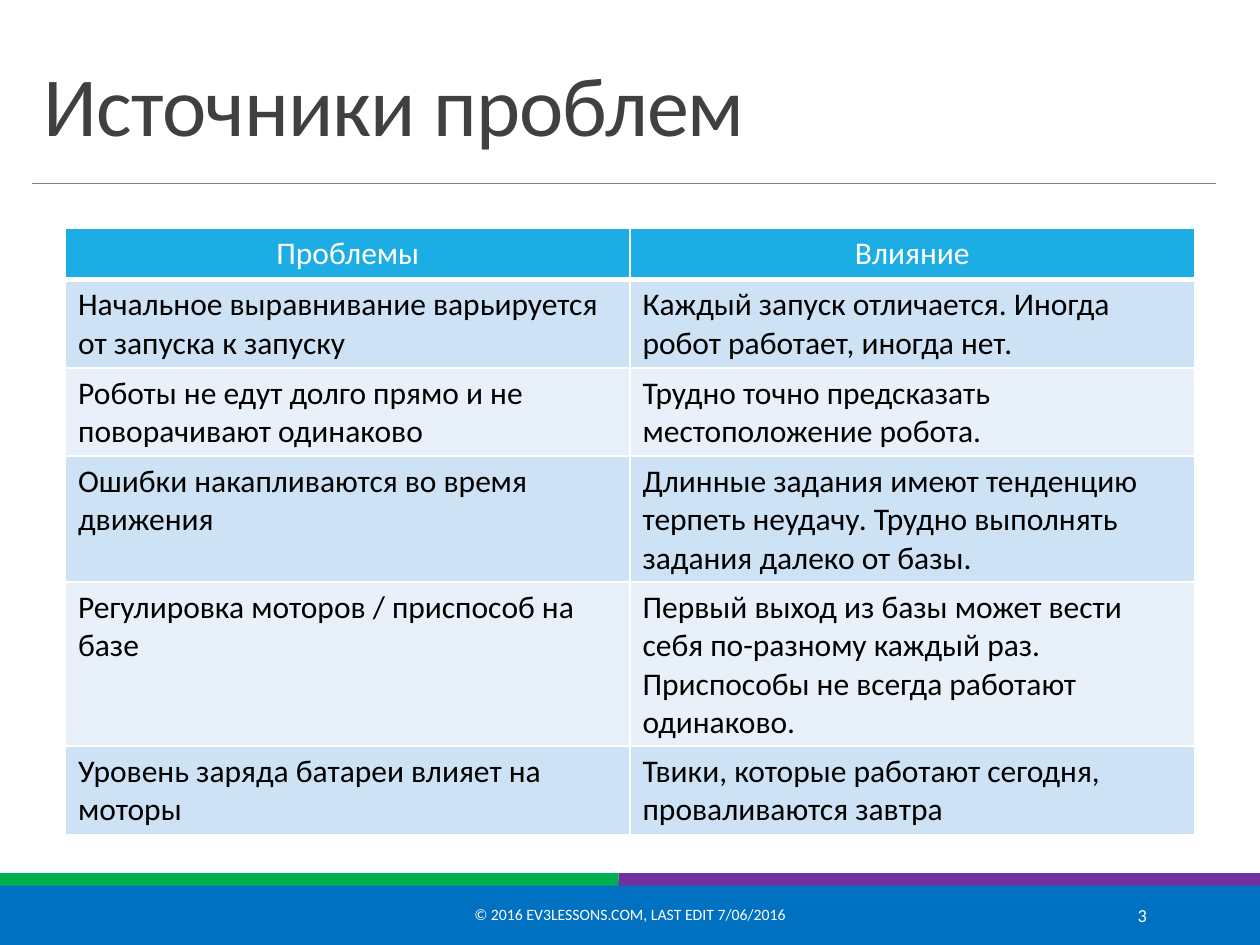
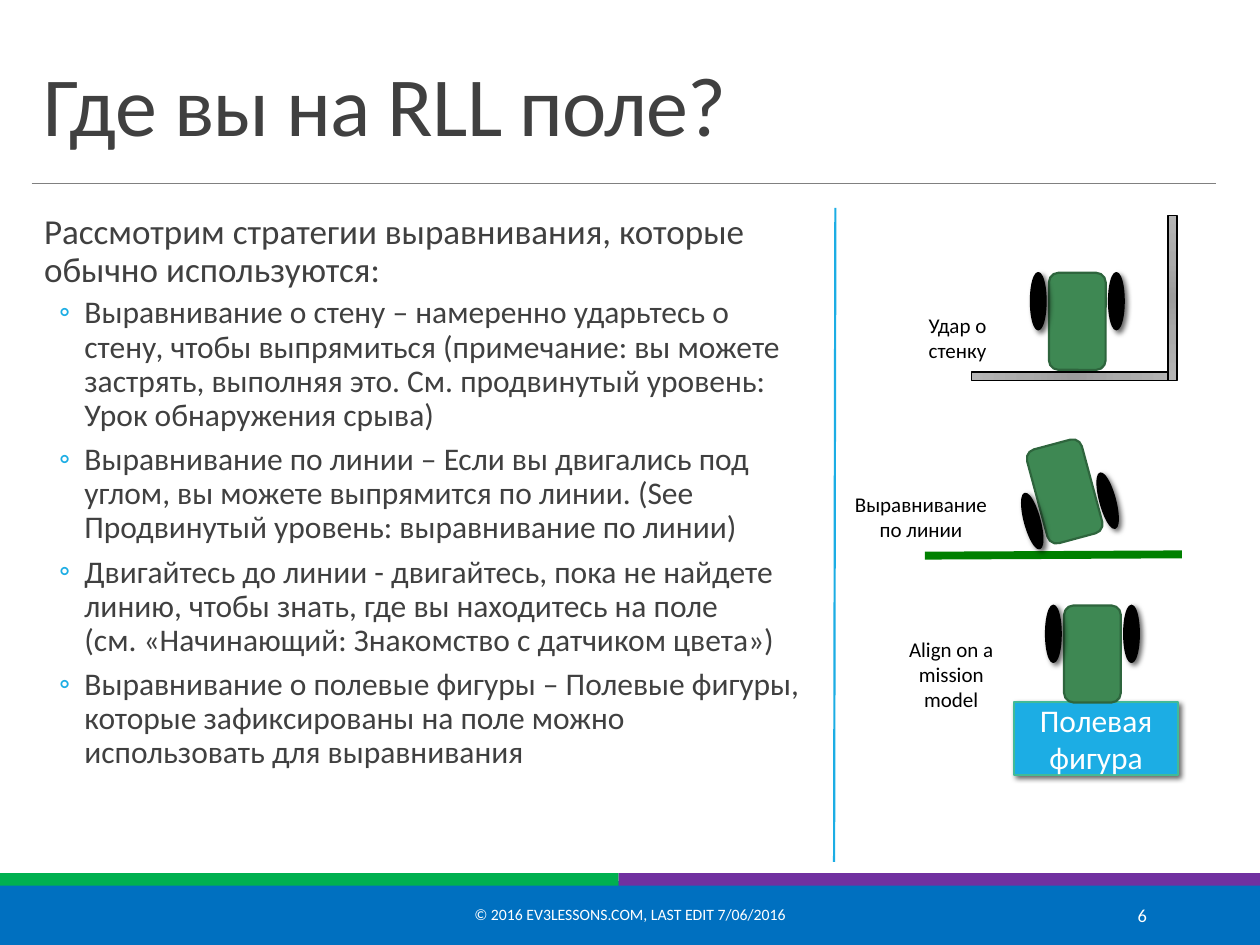
from lxml import etree
from pptx import Presentation
from pptx.dml.color import RGBColor
from pptx.enum.shapes import MSO_CONNECTOR, MSO_SHAPE
from pptx.enum.text import MSO_ANCHOR, PP_ALIGN
from pptx.oxml import parse_xml
from pptx.oxml.ns import nsdecls, qn
from pptx.util import Inches, Pt

RECT, ROUND_RECT, OVAL = MSO_SHAPE.RECTANGLE, MSO_SHAPE.ROUNDED_RECTANGLE, MSO_SHAPE.OVAL
STRAIGHT = MSO_CONNECTOR.STRAIGHT
LEFT, CENTER, RIGHT = PP_ALIGN.LEFT, PP_ALIGN.CENTER, PP_ALIGN.RIGHT
TOP, MIDDLE, BOTTOM = MSO_ANCHOR.TOP, MSO_ANCHOR.MIDDLE, MSO_ANCHOR.BOTTOM

FONT = "Calibri"
COLORS = {
    "white": "FFFFFF", "black": "000000", "text": "404040", "rule": "808080",
    "footer": "0070C0", "green_band": "00B050", "purple_band": "7030A0",
    "accent": "1CADE4", "row_dark": "CDE3F5", "row_light": "E8F1FA",
    "robot": "3E8853", "robot_edge": "2E653D", "model_edge": "42BA97",
    "field_line": "008000",
}
WALL_STOPS = [(0, "9C9C9C"), (45, "AAAAAA"), (100, "B4B4B4")]
SLIDE_W, SLIDE_H = 10, 7.5
COPYRIGHT = "© 2016 EV3LESSONS.COM, LAST EDIT 7/06/2016"

PROBLEMS = [
    ("Проблемы", "Влияние"),
    ("Начальное выравнивание варьируется от запуска к запуску",
     "Каждый запуск отличается. Иногда робот работает, иногда нет."),
    ("Роботы не едут долго прямо и не поворачивают одинаково",
     "Трудно точно предсказать местоположение робота."),
    ("Ошибки накапливаются во время движения",
     "Длинные задания имеют тенденцию терпеть неудачу. "
     "Трудно выполнять задания далеко от базы."),
    ("Регулировка моторов / приспособ на базе",
     "Первый выход из базы может вести себя по-разному каждый раз.\n"
     "Приспособы не всегда работают одинаково."),
    ("Уровень заряда батареи влияет на моторы",
     "Твики, которые работают сегодня, проваливаются завтра"),
]
STRATEGY_INTRO = "Рассмотрим стратегии выравнивания, которые обычно используются:"
STRATEGIES = [
    "Выравнивание о стену – намеренно ударьтесь о стену, чтобы выпрямиться "
    "(примечание: вы можете застрять, выполняя это. См. продвинутый уровень: "
    "Урок обнаружения срыва)",
    "Выравнивание по линии – Если вы двигались под углом, вы можете выпрямится "
    "по линии. (See Продвинутый уровень: выравнивание по линии)",
    "Двигайтесь до линии - двигайтесь, пока не найдете линию, чтобы знать, "
    "где вы находитесь на поле\v(см. «Начинающий: Знакомство с датчиком цвета»)",
    "Выравнивание о полевые фигуры – Полевые фигуры, которые зафиксированы "
    "на поле можно использовать для выравнивания",
]


def rgb(name):
    return RGBColor.from_string(COLORS[name])


def write(p, text, size=18, color="black", align=LEFT, spacing=None, tracking=None):
    """Fill one paragraph with formatted text."""
    p.text = text
    p.alignment = align
    if spacing:
        p.line_spacing = spacing
    for r in p.runs:
        r.font.name = FONT
        r.font.size = Pt(size)
        r.font.bold = False
        r.font.color.rgb = rgb(color)
        if tracking:
            r.font._element.set("spc", str(round(tracking * 100)))


def add_text(s, box, text, anchor=TOP, **fmt):
    tb = s.shapes.add_textbox(*map(Inches, box))
    tf = tb.text_frame
    tf.word_wrap = True
    tf.vertical_anchor = anchor
    if text:
        write(tf.paragraphs[0], text, **fmt)
    return tf


def add_shadow(sp):
    sp._element.spPr.append(parse_xml(
        f'<a:effectLst {nsdecls("a")}><a:outerShdw blurRad="{Pt(3)}" dist="{Pt(2)}" '
        'dir="2700000" rotWithShape="0"><a:srgbClr val="000000"><a:alpha val="60000"/>'
        '</a:srgbClr></a:outerShdw></a:effectLst>'))


def add_box(shapes, kind, box, fill, line=None, width=1, shadow=False):
    sp = shapes.add_shape(kind, *map(Inches, box))
    sp.fill.solid()
    sp.fill.fore_color.rgb = rgb(fill)
    if line:
        sp.line.color.rgb = rgb(line)
        sp.line.width = Pt(width)
    else:
        sp.line.fill.background()
    if shadow:
        add_shadow(sp)
    else:
        sp.shadow.inherit = False
    return sp


def add_line(s, x1, y1, x2, y2, color, width):
    ln = s.shapes.add_connector(STRAIGHT, *map(Inches, (x1, y1, x2, y2)))
    ln.line.color.rgb = rgb(color)
    ln.line.width = Pt(width)
    etree.SubElement(ln._element.spPr, qn("a:effectLst"))


def add_base_slide(prs, title, number):
    """Add a slide with the shared bands, title and footer."""
    s = prs.slides.add_slide(prs.slide_layouts[6])
    split, band_y = 4.91, 6.93
    add_box(s.shapes, RECT, (0, 7, SLIDE_W, 0.5), "footer", "footer", 1.25)
    add_box(s.shapes, RECT, (0, band_y, split, 0.1), "green_band")
    add_box(s.shapes, RECT, (split, band_y, SLIDE_W - split, 0.1), "purple_band")
    add_line(s, 0.25, 1.46, 9.65, 1.46, "rule", 0.5)
    add_text(s, (0.25, 0.31, 9.4, 0.96), title, anchor=BOTTOM, size=48,
             color="text", spacing=0.85, tracking=-0.5)
    add_text(s, (3.02, 7.06, 3.96, 0.4), COPYRIGHT, anchor=MIDDLE, size=9,
             color="white", align=CENTER)
    add_text(s, (8.12, 7.06, 1.08, 0.4), str(number), anchor=MIDDLE, size=10.5,
             color="white", align=RIGHT)
    return s


def set_borders(cell, bottom):
    tcPr = cell._tc.get_or_add_tcPr()
    for side, width in (("L", 1), ("R", 1), ("T", 1), ("B", bottom)):
        tcPr.append(parse_xml(
            f'<a:ln{side} {nsdecls("a")} w="{Pt(width)}"><a:solidFill>'
            f'<a:srgbClr val="{COLORS["white"]}"/></a:solidFill></a:ln{side}>'))


def add_problem_table(s, x, y, w):
    row_h = 0.41
    rows, cols = len(PROBLEMS), len(PROBLEMS[0])
    table = s.shapes.add_table(
        rows, cols, *map(Inches, (x, y, w, row_h * rows))).table
    for col in table.columns:
        col.width = Inches(w / cols)
    for i, texts in enumerate(PROBLEMS):
        table.rows[i].height = Inches(row_h)
        header = i == 0
        fill = "accent" if header else ("row_light", "row_dark")[i % 2]
        for j, text in enumerate(texts):
            cell = table.cell(i, j)
            set_borders(cell, 3 if header else 1)
            cell.fill.solid()
            cell.fill.fore_color.rgb = rgb(fill)
            tf = cell.text_frame
            for k, part in enumerate(text.split("\n")):
                p = tf.add_paragraph() if k else tf.paragraphs[0]
                write(p, part, color="white" if header else "black",
                      align=CENTER if header else LEFT)


def set_indent(p, left, hanging=0, bullet=None):
    pPr = p._p.get_or_add_pPr()
    pPr.set("marL", str(Inches(left)))
    pPr.set("indent", str(-Inches(hanging)))
    if bullet:
        color = etree.SubElement(pPr, qn("a:buClr"))
        etree.SubElement(color, qn("a:srgbClr"), val=COLORS["accent"])
        etree.SubElement(pPr, qn("a:buFont"), typeface=FONT)
        etree.SubElement(pPr, qn("a:buChar"), char=bullet)


def add_strategy_list(s, box):
    tf = add_text(s, box, None)
    tf.margin_left = tf.margin_right = 0
    intro = tf.paragraphs[0]
    set_indent(intro, 0.1)
    write(intro, STRATEGY_INTRO, size=20, color="text", spacing=0.9)
    intro.space_after = Pt(2)
    for text in STRATEGIES:
        p = tf.add_paragraph()
        set_indent(p, 0.42, 0.2, "◦")
        write(p, text, color="text", spacing=0.9)
        p.space_before, p.space_after = Pt(2), Pt(4)


def add_robot(s, cx, cy, rotation):
    """Draw a robot centred on a point; unrotated, its wheels are at the bottom."""
    body_w, body_h, wheel_w, wheel_h, wheel_dx = 0.45, 0.77, 0.12, 0.45, 0.31
    robot = s.shapes.add_group_shape()
    add_box(robot.shapes, ROUND_RECT, (cx - body_w / 2, cy - body_h / 2, body_w, body_h),
            "robot", "robot_edge", 1.25)
    for dx in (-wheel_dx, wheel_dx):
        add_box(robot.shapes, OVAL,
                (cx + dx - wheel_w / 2, cy + body_h / 2 - wheel_h, wheel_w, wheel_h),
                "black", "black", shadow=True)
    robot.rotation = rotation


def add_wall(s, box, rotation=0):
    sp = add_box(s.shapes, RECT, box, "rule", "black")
    stops = "".join(f'<a:gs pos="{pos * 1000}"><a:srgbClr val="{color}"/></a:gs>'
                    for pos, color in WALL_STOPS)
    spPr = sp._element.spPr
    spPr.replace(spPr.find(qn("a:solidFill")), parse_xml(
        f'<a:gradFill {nsdecls("a")}><a:gsLst>{stops}</a:gsLst><a:path path="circle">'
        '<a:fillToRect l="100000" t="100000" r="100000" b="100000"/></a:path></a:gradFill>'))
    sp.rotation = rotation


def add_label(s, box, text):
    add_text(s, box, text, size=12, align=CENTER)


def add_wall_scene(s, x, y):
    add_wall(s, (x + 0.61, y + 1.24, 1.62, 0.07))
    add_wall(s, (x + 1.55, y + 0.62, 1.31, 0.07), rotation=90)
    add_robot(s, x + 1.45, y + 0.84, 180)
    add_label(s, (x, y + 0.72, 1, 0.5), "Удар о стенку")


def add_line_scene(s, x, y):
    add_line(s, x + 2.75, y + 0.89, x + 0.71, y + 0.9, "field_line", 4.5)
    add_robot(s, x + 1.82, y + 0.39, 344.9)
    add_label(s, (x, y + 0.34, 1.36, 0.5), "Выравнивание по линии")


def add_model_scene(s, x, y):
    model = add_box(s.shapes, RECT, (x + 1, y + 0.77, 1.3, 0.58), "accent",
                    "model_edge", shadow=True)
    model.text_frame.word_wrap = True
    model.text_frame.vertical_anchor = MIDDLE
    write(model.text_frame.paragraphs[0], "Полевая фигура", color="white", align=CENTER)
    add_robot(s, x + 1.62, y + 0.39, 180)
    add_label(s, (x, y + 0.2, 1, 0.71), "Align on a mission model")


def main():
    prs = Presentation()
    prs.slide_width, prs.slide_height = Inches(SLIDE_W), Inches(SLIDE_H)

    s = add_base_slide(prs, "Источники проблем", 3)
    add_problem_table(s, 0.52, 1.81, 8.96)

    s = add_base_slide(prs, "Где вы на RLL поле?", 6)
    add_strategy_list(s, (0.25, 1.65, 6.15, 5.09))
    add_line(s, 6.62, 6.84, 6.63, 1.65, "accent", 1.25)
    add_wall_scene(s, 7.1, 1.71)
    add_line_scene(s, 6.63, 3.51)
    add_model_scene(s, 7.05, 4.8)

    prs.save("out.pptx")


if __name__ == "__main__":
    main()
